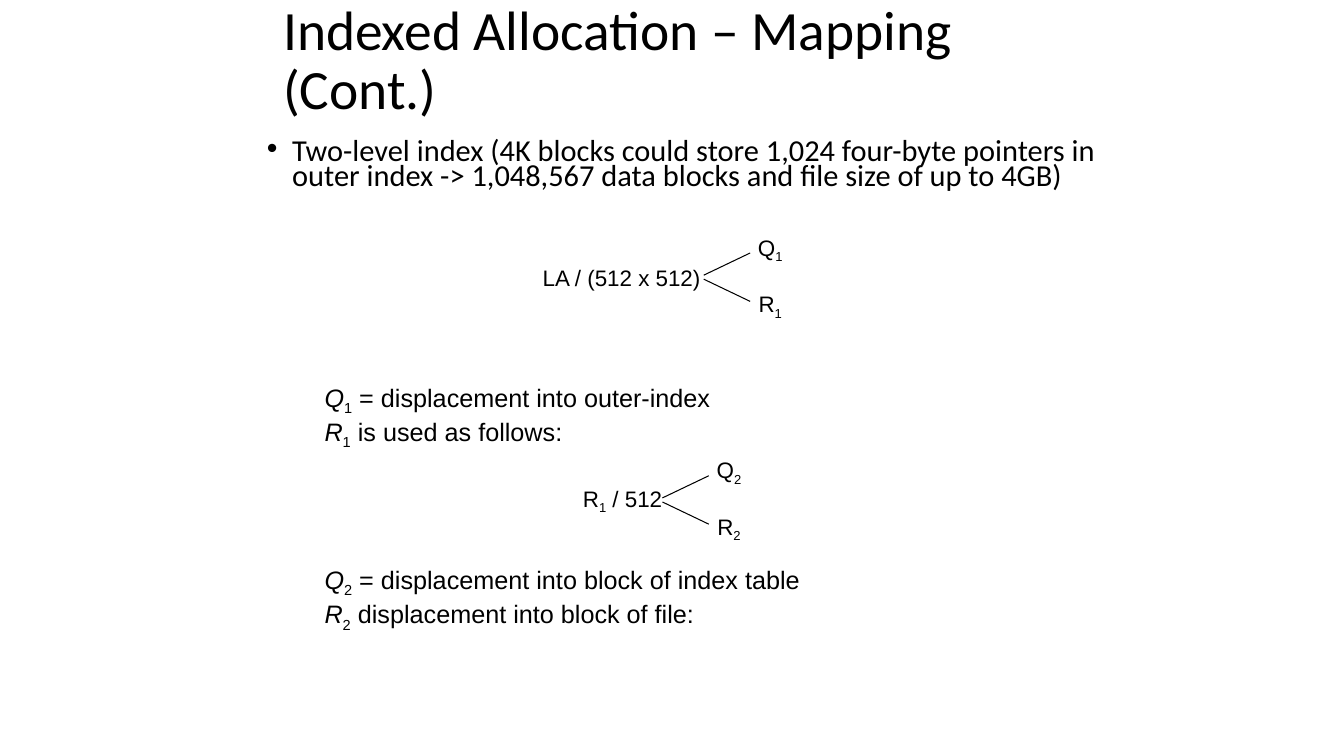
from lxml.etree import SubElement as Sub
from pptx import Presentation
from pptx.dml.color import RGBColor
from pptx.enum.shapes import MSO_CONNECTOR as Conn
from pptx.enum.text import MSO_ANCHOR as Anchor, MSO_AUTO_SIZE as Fit, PP_ALIGN as Align
from pptx.oxml.ns import qn
from pptx.util import Inches, Pt

BLACK = RGBColor(0, 0, 0)
TITLE = {"name": "Calibri", "size": Pt(39.6)}
BODY = {"name": "Calibri", "size": Pt(21.7)}
NOTE = {"name": "Arial", "size": Pt(18)}
LABEL = {"name": "Arial", "size": Pt(16)}
HIGH = 0.37   # height of a label
GAP = 0.28    # from stem to branch label

deck = Presentation()
deck.slide_width, deck.slide_height = Inches(13.33), Inches(7.5)
slide = deck.slides.add_slide(deck.slide_layouts[6])


def put(box, lines, font, frame, para, lean=False):
    """Add a text box; every second part between bars is a subscript."""
    text = slide.shapes.add_textbox(*map(Inches, box)).text_frame
    for key, value in frame.items():
        setattr(text, key, value)
    for i, line in enumerate(lines):
        p = text.paragraphs[0] if i == 0 else text.add_paragraph()
        for key, value in para.items():
            setattr(p, key, value)
        for j, part in enumerate(line.split("|")):
            run = p.add_run()
            run.text = part
            for key, value in font.items():
                setattr(run.font, key, value)
            run.font.color.rgb = BLACK
            run.font.italic = lean and j == 0
            if j % 2:
                run.font._element.set("baseline", "-25000")
    return text


def indent(text, left, hang):
    """Set a hanging indent on all paragraphs."""
    for p in text.paragraphs:
        props = p._p.get_or_add_pPr()
        props.set("marL", str(Inches(left)))
        props.set("indent", str(-Inches(hang)))


# Title
put((2.71, 0.3, 8.3, 0.63), ["Indexed Allocation – Mapping (Cont.)"], TITLE,
    {"word_wrap": True, "vertical_anchor": Anchor.MIDDLE}, {"line_spacing": 0.9})

# Bullet
body = put((2.55, 1.35, 9, 0.63),
           ["Two-level index (4K blocks could store 1,024 four-byte pointers in "
            "outer index -> 1,048,567 data blocks and file size of up to 4GB)"],
           BODY, {"word_wrap": True}, {"line_spacing": 0.7, "space_before": Pt(10)})
indent(body, 0.25, 0.25)
props = body.paragraphs[0]._p.get_or_add_pPr()
Sub(props, qn("a:buFont")).set("typeface", "Arial")
Sub(props, qn("a:buChar")).set("char", "•")

# Forks: stem label, its left and width, fork point, level number
forks = [("LA / (512 x 512)", 5.27, 1.79, 6.98, 2.75, 1),
         ("R|1| / 512", 5.67, 1.01, 6.57, 4.96, 2)]
tag = {"word_wrap": False, "auto_size": Fit.SHAPE_TO_FIT_TEXT,
       "vertical_anchor": Anchor.MIDDLE}
mid = {"alignment": Align.CENTER}
for stem, left, wide, x, y, level in forks:
    top = y - HIGH / 2
    put((left, top, wide, HIGH), [stem], LABEL, tag, mid)
    for name, side in (("Q", -1), ("R", 1)):
        put((x + 0.43, top + side * GAP, 0.46, HIGH), [f"{name}|{level}"],
            LABEL, tag, mid)
        ends = (x, y + side * 0.02, x + 0.46, y + side * 0.24)
        arm = slide.shapes.add_connector(Conn.STRAIGHT, *map(Inches, ends))
        arm.line.color.rgb = BLACK
        arm.line.width = Pt(0.75)
        Sub(arm._element.spPr, qn("a:effectLst"))

# Explanations
notes = [(3.74, ["Q|1| = displacement into outer-index",
                 "R|1| is used as follows:"]),
         (5.55, ["Q|2| = displacement into block of index table",
                 "R|2| displacement into block of file:"])]
for top, lines in notes:
    note = put((2.59, top, 7.69, 0.81), lines, NOTE, {"word_wrap": True},
               {"level": 1}, lean=True)
    indent(note, 0.98, 0.45)

deck.save("out.pptx")
